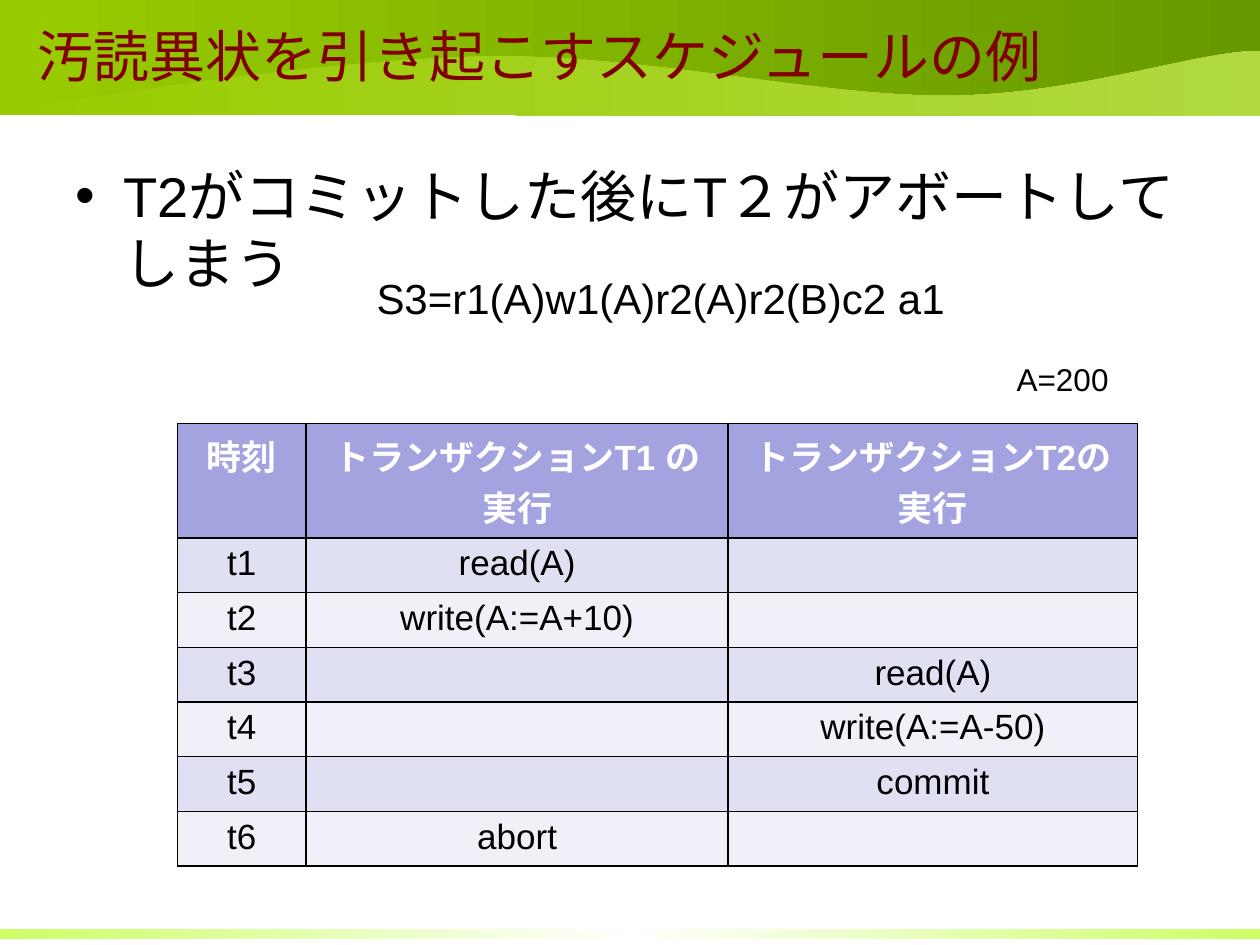
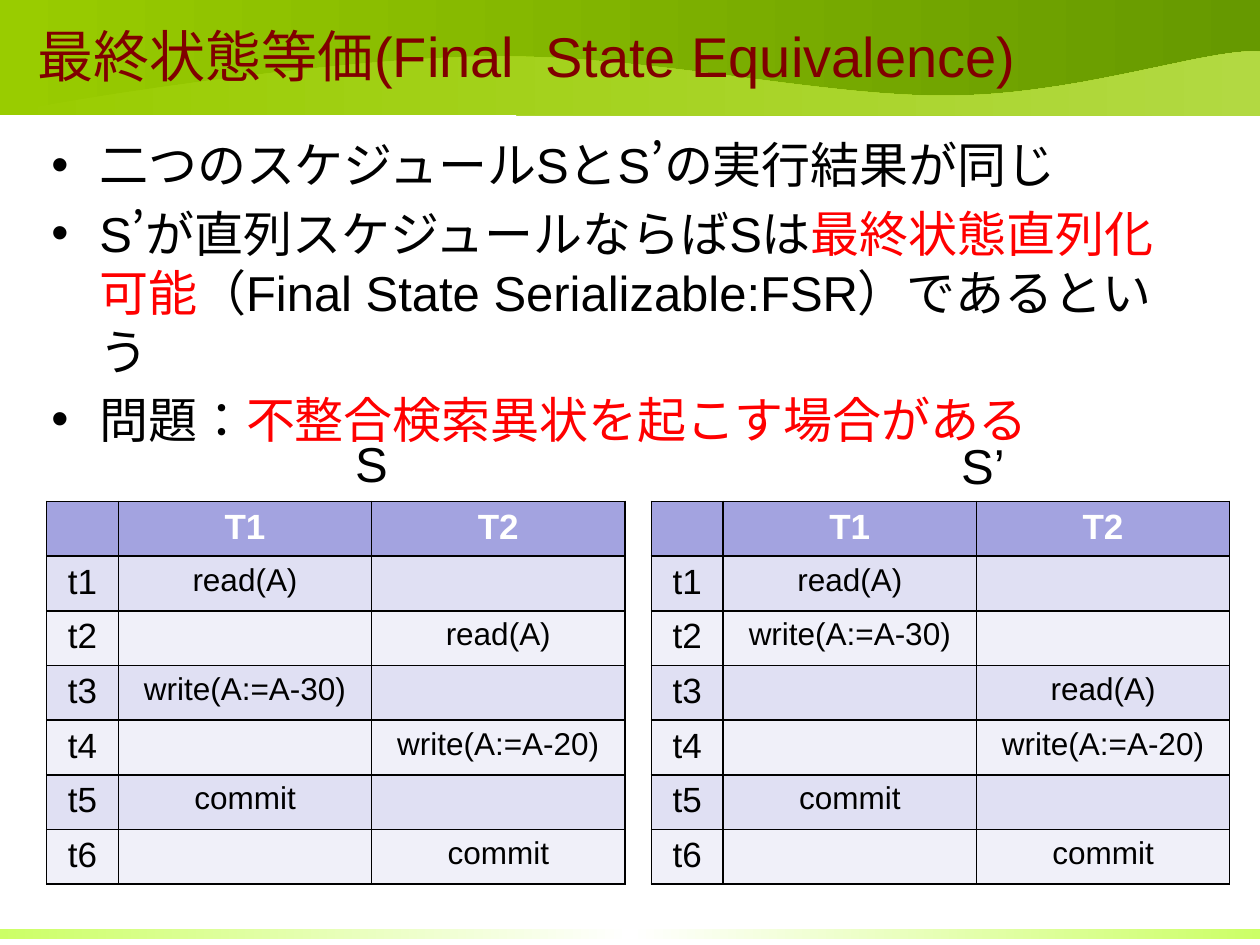
import pptx
import pptx.dml.color
import pptx.enum.lang
import pptx.enum.shapes
import pptx.enum.text
import pptx.oxml
import pptx.oxml.ns
import pptx.util

# Shared style; lengths are inches, text sizes are points
WIDTH, HEIGHT = 10, 7.5
FONT = "Arial"
BLACK, WHITE, RED, MAROON = "000000", "FFFFFF", "FF0000", "800000"
HEADER_FILL, ROW_FILLS = "A3A3E0", ("E0E0F3", "F0F0F9")
TITLE_AT, TITLE_SIZE = (0.2, 0.13, 9.61, 0.61), 32
HEADING_SIZE, ROW_HEIGHT = 20, 0.41
BULLET_INDENT, BULLET_SPACING = 0.38, 0.2

# Strips: top, height, gradient stops as (percent, colour)
STRIPS = [
    (7.37, 0.08, [(0, "CCFF66"), (50, "FFFFFF"), (100, "CCFF66")]),
    (0, 0.91, [(0, "99CC00"), (100, "669900")]),
]
WAVE_STOPS = [(0, "99CC00"), (100, "B2D942")]
WAVE_START = (0, 0.91)
# Each Bezier curve: two control points, then its end
WAVE_CURVES = [
    ((0.31, 0.82), (2.57, 0.47), (3.82, 0.45)),
    ((5.08, 0.42), (6.49, 0.77), (7.52, 0.76)),
    ((8.55, 0.76), (9.59, 0.38), (10, 0.41)),
    ((10, 0.73), (10, 0.68), (10, 0.92)),
    ((9.84, 0.92), (2.08, 0.91), (0, 0.91)),
]

# The two compared schedules share one layout
PAIR_LAYOUT = {
    "columns": [0.57, 2.01, 2.01], "header_height": ROW_HEIGHT, "size": 18,
    "header": ["", "T1", "T2"],
}
PAIR_TOP = 3.98

# Each schedule step is (transaction number, operation); t1, t2, ... follow.
SLIDES = [
    {
        "title": "汚読異状を引き起こすスケジュールの例",
        "body": {
            "at": (0.5, 1.23, 9, 5.47), "size": 32,
            "points": [[("T2がコミットした後にT\uff12がアボートしてしまう", BLACK)]],
        },
        "schedules": [{
            "at": (1.41, 3.36), "columns": [1.02, 3.35, 3.25],
            "header_height": 0.91, "size": 20,
            "header": ["時刻", "トランザクションT1 の実行", "トランザクションT2の実行"],
            "steps": [(1, "read(A)"), (1, "write(A:=A+10)"), (2, "read(A)"),
                      (2, "write(A:=A-50)"), (2, "commit"), (1, "abort")],
        }],
        "labels": [
            ("A=200", 18, (7.97, 2.81, 0.99, 0.4)),
            ("S3=r1(A)w1(A)r2(A)r2(B)c2 a1", 24, (2.89, 2.11, 4.76, 0.5)),
        ],
    },
    {
        "title": "最終状態等価(Final  State Equivalence)",
        "body": {
            "at": (0.31, 1.02, 9.16, 5.47), "size": 28,
            "points": [
                [("二つのスケジュールSとS’の実行結果が同じ", BLACK)],
                [("S’が直列スケジュールならばSは", BLACK),
                 ("最終状態直列化可能", RED),
                 ("\uff08Final State Serializable:FSR\uff09であるという", BLACK)],
                [("問題\uff1a", BLACK), ("不整合検索異状を起こす場合がある", RED)],
            ],
        },
        "schedules": [
            {**PAIR_LAYOUT, "at": (0.37, PAIR_TOP),
             "steps": [(1, "read(A)"), (2, "read(A)"), (1, "write(A:=A-30)"),
                       (2, "write(A:=A-20)"), (1, "commit"), (2, "commit")]},
            {**PAIR_LAYOUT, "at": (5.17, PAIR_TOP),
             "steps": [(1, "read(A)"), (1, "write(A:=A-30)"), (2, "read(A)"),
                       (2, "write(A:=A-20)"), (1, "commit"), (2, "commit")]},
        ],
        "labels": [
            ("S", 28, (2.72, 3.39, 0.46, 0.57)),
            ("S’", 28, (7.53, 3.41, 0.55, 0.57)),
        ],
    },
]


def rgb(value):
    """Turn a hex string into a colour."""
    return pptx.dml.color.RGBColor.from_string(value)


def inches(*values):
    """Turn numbers of inches into lengths."""
    return [pptx.util.Inches(value) for value in values]


def xml(tag, *children, **attributes):
    """Make a drawing element such as a:lnL, with its children."""
    element = pptx.oxml.parse_xml(f"<{tag} {pptx.oxml.ns.nsdecls('a')}/>")
    for key, value in attributes.items():
        element.set(key, str(value))
    element.extend(children)
    return element


def add_run(paragraph, text, size, color=BLACK, bold=False):
    """Add one formatted run."""
    run = paragraph.add_run()
    run.text = text
    run.font.name = FONT
    run.font.size = pptx.util.Pt(size)
    run.font.bold = bold
    run.font.color.rgb = rgb(color)
    run.font.language_id = pptx.enum.lang.MSO_LANGUAGE_ID.JAPANESE


def paint_gradient(shape, stops):
    """Fill a shape from left to right, without line or shadow."""
    shape.shadow.inherit = False
    shape.line.fill.background()
    shape.fill.gradient()
    shape.fill.gradient_angle = 0
    stop_list = shape._element.spPr.find(".//" + pptx.oxml.ns.qn("a:gsLst"))
    for default_stop in list(stop_list):
        stop_list.remove(default_stop)
    for percent, color in stops:
        stop_list.append(xml("a:gs", xml("a:srgbClr", val=color), pos=percent * 1000))


def bezier_point(t, *corners):
    """Find the point at share t of a cubic Bezier curve."""
    weights = ((1 - t) ** 3, 3 * t * (1 - t) ** 2, 3 * t * t * (1 - t), t ** 3)
    return [sum(weight * corner[axis] for weight, corner in zip(weights, corners))
            for axis in (0, 1)]


def wave_points(samples=24):
    """Follow the wave's curves as a list of points."""
    points, start = [], WAVE_START
    for curve in WAVE_CURVES:
        points += [inches(*bezier_point(step / samples, start, *curve))
                   for step in range(1, samples + 1)]
        start = curve[-1]
    return points


def add_bands(slide):
    """Draw the footer strip, the title band and its wave."""
    for top, height, stops in STRIPS:
        strip = slide.shapes.add_shape(
            pptx.enum.shapes.MSO_SHAPE.RECTANGLE, *inches(0, top, WIDTH, height))
        paint_gradient(strip, stops)
    outline = slide.shapes.build_freeform(*inches(*WAVE_START))
    outline.add_line_segments(wave_points(), close=True)
    paint_gradient(outline.convert_to_shape(), WAVE_STOPS)


def set_title(slide, text):
    """Place the title in front of the bands."""
    title = slide.shapes.title
    slide.shapes._spTree.append(title._element)
    title.left, title.top, title.width, title.height = inches(*TITLE_AT)
    title.text_frame.vertical_anchor = pptx.enum.text.MSO_ANCHOR.MIDDLE
    title.text_frame.auto_size = pptx.enum.text.MSO_AUTO_SIZE.NONE
    paragraph = title.text_frame.paragraphs[0]
    paragraph.alignment = pptx.enum.text.PP_ALIGN.LEFT
    add_run(paragraph, text, TITLE_SIZE, MAROON)


def add_bullet(paragraph):
    """Give a paragraph a bullet with a hanging indent."""
    indent = pptx.util.Inches(BULLET_INDENT)
    properties = paragraph._p.get_or_add_pPr()
    properties.set("marL", str(indent))
    properties.set("indent", str(-indent))
    properties.append(xml("a:buFont", typeface=FONT))
    properties.append(xml("a:buChar", char="•"))


def add_body(slide, at, size, points):
    """Add the bulleted points."""
    frame = slide.shapes.add_textbox(*inches(*at)).text_frame
    frame.word_wrap = True
    for i, point in enumerate(points):
        paragraph = frame.add_paragraph() if i else frame.paragraphs[0]
        paragraph.space_before = pptx.util.Pt(size * BULLET_SPACING)
        add_bullet(paragraph)
        for text, color in point:
            add_run(paragraph, text, size, color)


def add_label(slide, text, size, at):
    """Add a one-line caption."""
    frame = slide.shapes.add_textbox(*inches(*at)).text_frame
    frame.word_wrap = False
    frame.auto_size = pptx.enum.text.MSO_AUTO_SIZE.SHAPE_TO_FIT_TEXT
    add_run(frame.paragraphs[0], text, size)


def style_cell(cell, color):
    """Fill a cell and give it thin black borders."""
    cell.fill.solid()
    cell.fill.fore_color.rgb = rgb(color)
    properties = cell._tc.get_or_add_tcPr()
    for i, side in enumerate("LRTB"):
        paint = xml("a:solidFill", xml("a:srgbClr", val=BLACK))
        properties.insert(i, xml(f"a:ln{side}", paint, w=pptx.util.Pt(1)))


def write_cell(cell, text, size, color, bold):
    """Centre a cell's text; an empty cell keeps the size for its row height."""
    paragraph = cell.text_frame.paragraphs[0]
    paragraph.alignment = pptx.enum.text.PP_ALIGN.CENTER
    if text:
        add_run(paragraph, text, size, color, bold)
    else:
        paragraph._p.append(
            xml("a:endParaRPr", xml("a:latin", typeface=FONT), sz=size * 100))


def schedule_rows(header, steps):
    """List the header and one row a step, each under its transaction."""
    return [header] + [
        [f"t{time}"] + [operation if actor == column else "" for column in (1, 2)]
        for time, (actor, operation) in enumerate(steps, 1)]


def add_schedule(slide, at, columns, header_height, size, header, steps):
    """Add a table with one row for each step of a schedule."""
    rows = schedule_rows(header, steps)
    heights = [header_height] + [ROW_HEIGHT] * len(steps)
    table = slide.shapes.add_table(
        len(rows), len(columns), *inches(*at, sum(columns), sum(heights))).table
    table.first_row = table.horz_banding = False
    for column, width in zip(table.columns, inches(*columns)):
        column.width = width
    for r, (texts, height) in enumerate(zip(rows, inches(*heights))):
        table.rows[r].height = height
        is_header = r == 0
        fill = HEADER_FILL if is_header else ROW_FILLS[(r - 1) % 2]
        color = WHITE if is_header else BLACK
        for c, text in enumerate(texts):
            is_heading = is_header or c == 0
            style_cell(table.cell(r, c), fill)
            write_cell(table.cell(r, c), text,
                       HEADING_SIZE if is_heading else size, color, is_header)


def main():
    """Build and save the presentation."""
    deck = pptx.Presentation()
    deck.slide_width, deck.slide_height = inches(WIDTH, HEIGHT)
    title_only = deck.slide_layouts[5]
    for content in SLIDES:
        slide = deck.slides.add_slide(title_only)
        add_bands(slide)
        set_title(slide, content["title"])
        add_body(slide, **content["body"])
        for schedule in content["schedules"]:
            add_schedule(slide, **schedule)
        for label in content["labels"]:
            add_label(slide, *label)
    deck.save("out.pptx")


main()
